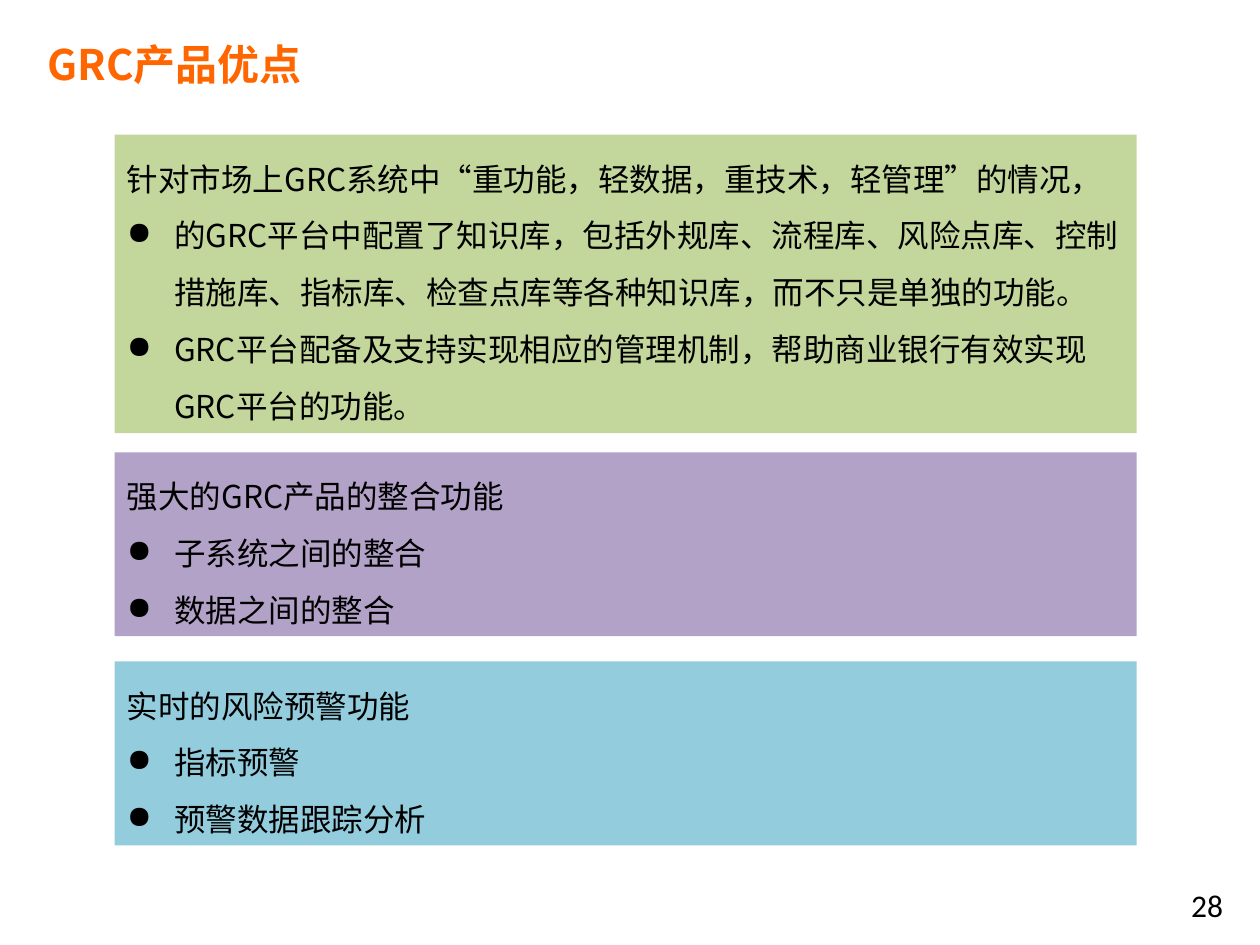
import pptx
import pptx.dml.color
import pptx.enum.shapes
import pptx.enum.text
import pptx.oxml.ns
import pptx.util
from lxml import etree

Pt = pptx.util.Pt
Anchor = pptx.enum.text.MSO_ANCHOR
Align = pptx.enum.text.PP_ALIGN
CJK = "Noto Sans CJK SC"


def color(value):
    """Turn a hex string into a colour."""
    return pptx.dml.color.RGBColor.from_string(value)


def write(paragraph, text, size=18, font=CJK, ink="000000", bold=False,
          align=Align.LEFT, spacing=1.0, bullet=None, indent=27):
    """Write formatted text into a paragraph."""
    paragraph.alignment = align
    paragraph.line_spacing = spacing
    run = paragraph.add_run()
    run.text = text
    run.font.size = Pt(size)
    run.font.name = font
    run.font.bold = bold
    run.font.color.rgb = color(ink)
    east_asian = etree.SubElement(run.font._element, pptx.oxml.ns.qn("a:ea"))
    east_asian.set("typeface", font)
    if bullet:
        properties = paragraph._p.get_or_add_pPr()
        properties.set("marL", str(Pt(indent)))
        properties.set("indent", str(-Pt(indent)))
        mark = etree.SubElement(properties, pptx.oxml.ns.qn("a:buChar"))
        mark.set("char", bullet)


class Page:
    """Hold the panel style and the current slide."""

    left, width = 65.5, 584

    def __init__(self, deck):
        """Add a title-only slide."""
        self.slide = deck.slides.add_slide(deck.slide_layouts[5])

    def title(self, text, left, top, width, height):
        """Place and fill the title."""
        title = self.slide.shapes.title
        title.left, title.top = Pt(left), Pt(top)
        title.width, title.height = Pt(width), Pt(height)
        title.text_frame.vertical_anchor = Anchor.MIDDLE
        write(title.text_frame.paragraphs[0], text, size=24, ink="FF6600", bold=True)

    def number(self, text, left, top, width, height):
        """Add the page number."""
        number = self.slide.shapes.add_textbox(Pt(left), Pt(top), Pt(width), Pt(height))
        number.text_frame.word_wrap = True
        write(number.text_frame.paragraphs[0], text, font="Calibri", align=Align.RIGHT)

    def panel(self, top, height, fill, heading, points):
        """Add a coloured panel with a heading and bulleted points."""
        panel = self.slide.shapes.add_shape(
            pptx.enum.shapes.MSO_SHAPE.RECTANGLE,
            Pt(self.left), Pt(top), Pt(self.width), Pt(height))
        panel.shadow.inherit = False
        panel.fill.solid()
        panel.fill.fore_color.rgb = color(fill)
        panel.line.fill.background()
        frame = panel.text_frame
        frame.word_wrap = True
        frame.vertical_anchor = Anchor.TOP
        frame.auto_size = pptx.enum.text.MSO_AUTO_SIZE.SHAPE_TO_FIT_TEXT
        write(frame.paragraphs[0], heading, spacing=1.5)
        for point in points:
            write(frame.add_paragraph(), point, spacing=1.5, bullet="●")


def main():
    """Build and save the slide."""
    deck = pptx.Presentation()
    deck.slide_width, deck.slide_height = Pt(720), Pt(540)
    page = Page(deck)
    page.title("GRC产品优点", 20, 17, 363, 39)
    page.number("28", 538, 502.5, 168, 37.5)
    page.panel(77, 170.6, "C3D69B", "针对市场上GRC系统中“重功能，轻数据，重技术，轻管理”的情况，", [
        "的GRC平台中配置了知识库，包括外规库、流程库、风险点库、控制措施库、"
        "指标库、检查点库等各种知识库，而不只是单独的功能。",
        "GRC平台配备及支持实现相应的管理机制，帮助商业银行有效实现GRC平台的功能。",
    ])
    page.panel(258.5, 105.1, "B3A2C7", "强大的GRC产品的整合功能",
               ["子系统之间的整合", "数据之间的整合"])
    page.panel(378, 105.1, "93CDDD", "实时的风险预警功能",
               ["指标预警", "预警数据跟踪分析"])
    deck.save("out.pptx")


if __name__ == "__main__":
    main()
